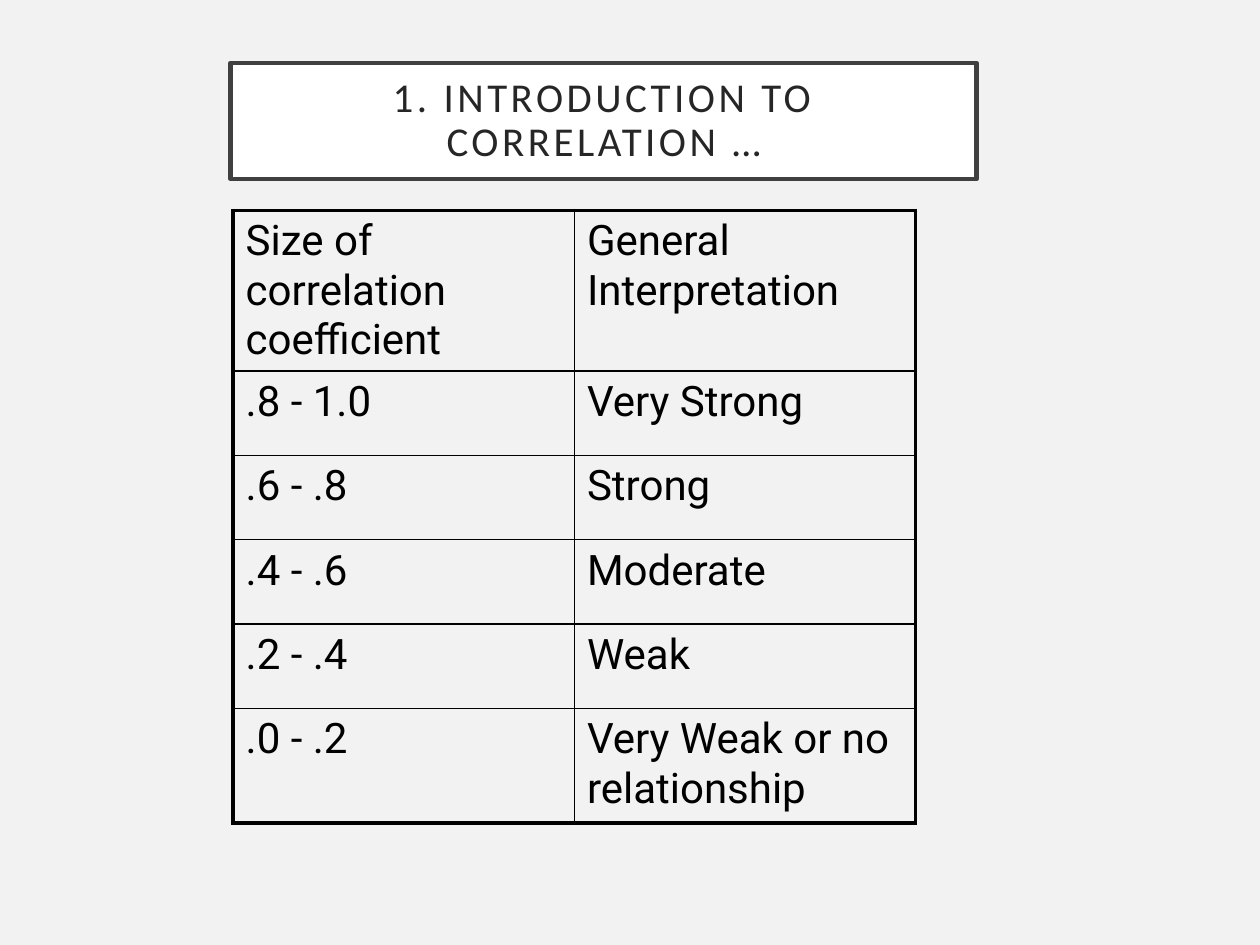
"""Build the slide on interpreting the size of a correlation coefficient."""
from dataclasses import dataclass

from lxml import etree
from pptx import Presentation
from pptx.dml.color import RGBColor
from pptx.enum.shapes import MSO_SHAPE
from pptx.enum.text import MSO_ANCHOR, PP_ALIGN
from pptx.oxml.ns import qn
from pptx.slide import Slide
from pptx.table import _Cell
from pptx.util import Cm, Pt

RECTANGLE = MSO_SHAPE.RECTANGLE
MIDDLE = MSO_ANCHOR.MIDDLE
CENTER = PP_ALIGN.CENTER


@dataclass(frozen=True)
class Theme:
    background: RGBColor = RGBColor(0xF2, 0xF2, 0xF2)
    title_fill: RGBColor = RGBColor(0xFF, 0xFF, 0xFF)
    title_line: RGBColor = RGBColor(0x40, 0x40, 0x40)
    title_ink: RGBColor = RGBColor(0x26, 0x26, 0x26)
    table_ink: RGBColor = RGBColor(0, 0, 0)
    title_font: str = "Calibri"
    table_font: str = "Roboto"
    title_size: Pt = Pt(23.4)
    table_size: Pt = Pt(24)
    title_border: Pt = Pt(2.5)
    outer_border: Pt = Pt(2.25)
    inner_border: Pt = Pt(1)
    title_tracking: int = 200


@dataclass(frozen=True)
class Band:
    coefficient: str
    interpretation: str
    height: Cm = Cm(1.7)


THEME = Theme()
TITLE = "1. INTRODUCTION TO CORRELATION …"
BANDS = (
    Band("Size of correlation coefficient", "General Interpretation", Cm(2.77)),
    Band(".8 - 1.0", "Very Strong"),
    Band(".6 - .8", "Strong"),
    Band(".4 - .6", "Moderate"),
    Band(".2 - .4", "Weak"),
    Band(".0 - .2", "Very Weak or no relationship", Cm(2.31)),
)
COLUMN_WIDTH = Cm(6.88)
TABLE_HEIGHT = Cm(12.4)


def draw_title(slide: Slide, text: str) -> None:
    banner = slide.shapes.add_shape(RECTANGLE, Cm(4.65), Cm(1.27), Cm(15.04), Cm(2.34))
    banner.shadow.inherit = False
    banner.fill.solid()
    banner.fill.fore_color.rgb = THEME.title_fill
    banner.line.color.rgb = THEME.title_line
    banner.line.width = THEME.title_border
    frame = banner.text_frame
    frame.word_wrap = True
    frame.vertical_anchor = MIDDLE
    frame.margin_left = frame.margin_right = Cm(0.51)
    frame.margin_top = frame.margin_bottom = Cm(0.51)
    heading = frame.paragraphs[0]
    heading.alignment = CENTER
    heading.line_spacing = 0.9
    heading.text = text
    heading.font.name = THEME.title_font
    heading.font.size = THEME.title_size
    heading.font.color.rgb = THEME.title_ink
    heading.runs[0].font._element.set("spc", str(THEME.title_tracking))


def draw_borders(cell: _Cell, outer_sides: dict[str, bool]) -> None:
    properties = cell._tc.get_or_add_tcPr()
    for side, is_outer in outer_sides.items():
        width = THEME.outer_border if is_outer else THEME.inner_border
        border = etree.SubElement(properties, qn(f"a:ln{side}"), w=str(int(width)))
        fill = etree.SubElement(border, qn("a:solidFill"))
        etree.SubElement(fill, qn("a:srgbClr"), val=str(THEME.table_ink))


def fill_cell(cell: _Cell, text: str) -> None:
    cell.fill.background()
    label = cell.text_frame.paragraphs[0]
    label.text = text
    label.font.name = THEME.table_font
    label.font.size = THEME.table_size
    label.font.color.rgb = THEME.table_ink


def draw_table(slide: Slide, bands: tuple[Band, ...]) -> None:
    table_frame = slide.shapes.add_table(
        len(bands), 2, Cm(4.7), Cm(4.24), 2 * COLUMN_WIDTH, TABLE_HEIGHT
    )
    table = table_frame.table
    table.first_row = table.horz_banding = False
    for column in table.columns:
        column.width = COLUMN_WIDTH
    last_row = len(bands) - 1
    for row, band in enumerate(bands):
        table.rows[row].height = band.height
        for column, text in enumerate((band.coefficient, band.interpretation)):
            cell = table.cell(row, column)
            outer_sides = {
                "L": column == 0,
                "R": column == 1,
                "T": row == 0,
                "B": row == last_row,
            }
            draw_borders(cell, outer_sides)
            fill_cell(cell, text)
    table_frame.height = TABLE_HEIGHT


def main() -> None:
    presentation = Presentation()
    presentation.slide_width = Cm(25.4)
    presentation.slide_height = Cm(19.05)
    slide = presentation.slides.add_slide(presentation.slide_layouts[6])
    slide.background.fill.solid()
    slide.background.fill.fore_color.rgb = THEME.background
    draw_title(slide, TITLE)
    draw_table(slide, BANDS)
    presentation.save("out.pptx")


if __name__ == "__main__":
    main()
